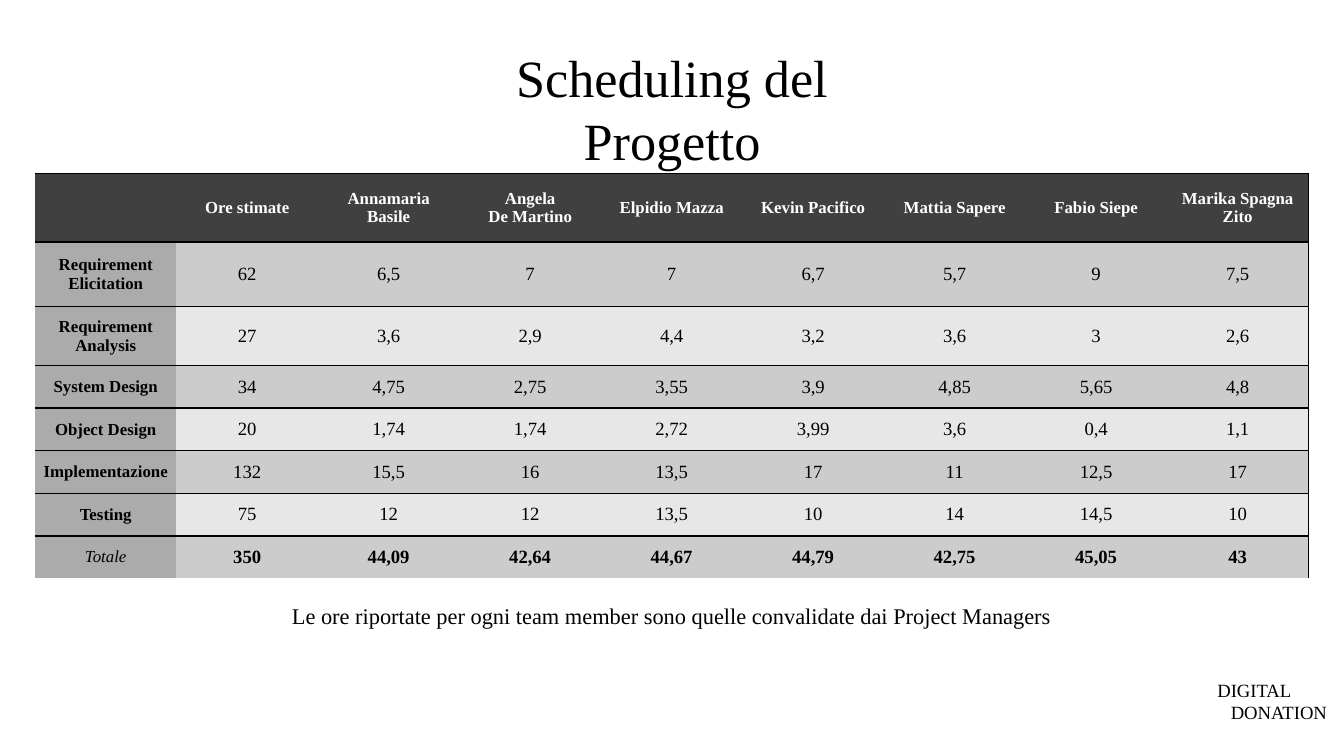
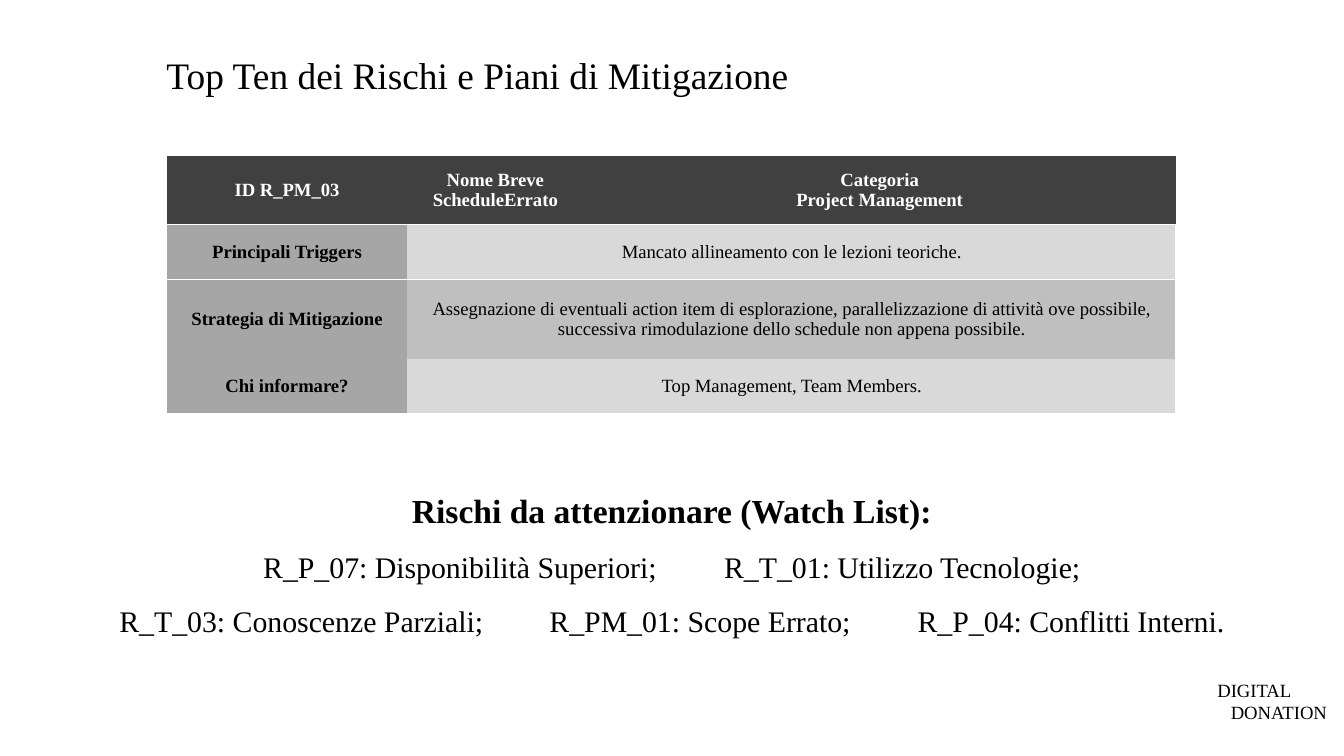
from dataclasses import dataclass

from lxml.etree import SubElement
from pptx import Presentation
from pptx.dml.color import RGBColor
from pptx.enum.text import MSO_ANCHOR, MSO_AUTO_SIZE, PP_ALIGN
from pptx.oxml.ns import qn
from pptx.util import Inches, Pt


@dataclass(frozen=True)
class Theme:
    font: str = "Times New Roman"
    black: str = "000000"
    white: str = "FFFFFF"
    header: str = "404040"
    schedule_label: str = "ABABAB"
    schedule_bands: tuple = ("CCCCCC", "E7E7E7")
    risk_label: str = "A6A6A6"
    risk_bands: tuple = ("D9D9D9", "BFBFBF")
    small: int = 9
    body: int = 10
    note: int = 12
    watch: int = 16
    watch_heading: int = 18


theme = Theme()
NO_STYLE = "{2D5ABB26-0587-4C30-8999-92F81FD0307C}"


def write(frame, text, size=theme.body, color=theme.black, bold=False,
          italic=False, align=PP_ALIGN.CENTER, spacing=None, tab_stops=()):
    """Append each line of text as a paragraph; tab stops are in grid tiles."""
    for line in text.split("\n"):
        first = frame.paragraphs[0]
        para = first if not first.runs else frame.add_paragraph()
        para.alignment = align
        if spacing:
            para.line_spacing = spacing
        if tab_stops:
            tab_list = SubElement(para._p.get_or_add_pPr(), qn("a:tabLst"))
            for stop in tab_stops:
                SubElement(tab_list, qn("a:tab"), pos=str(int(stop * tile)), algn="l")
        span = para.add_run()
        span.text = line
        span.font.name, span.font.size = theme.font, Pt(size)
        span.font.bold, span.font.italic = bold, italic
        span.font.color.rgb = RGBColor.from_string(color)


def dress(cell, fill, edges, edge_color):
    """Set a cell's insets, fill and 1 pt borders; edges is a subset of LRTB."""
    cell.vertical_anchor = MSO_ANCHOR.MIDDLE
    cell.margin_left = cell.margin_right = Inches(0.05)
    cell.margin_top = cell.margin_bottom = 0
    properties = cell._tc.get_or_add_tcPr()
    for edge in "LRTB":
        if edge in edges:
            line = SubElement(properties, qn(f"a:ln{edge}"), w=str(Pt(1)))
            solid = SubElement(line, qn("a:solidFill"))
            SubElement(solid, qn("a:srgbClr"), val=edge_color)
    cell.fill.solid()
    cell.fill.fore_color.rgb = RGBColor.from_string(fill)


deck = Presentation()
deck.slide_width, deck.slide_height = Inches(10), Inches(5.625)
tile = deck.slide_width // 100  # the slide is 100 tiles wide and 56.25 high

# Each page: title, title size, title box, table corner, column widths, row heights
page_plans = [
    ("Scheduling del Progetto", 28, (30.5, 2.9, 39, 5.7),
     (2.6, 12.9), [10.53] * 9, [5.1, 4.8, 4.4] + [3.17] * 5),
    ("Top Ten dei Rischi e Piani di Mitigazione", 20, (3.1, 3.4, 64.9, 4.4),
     (12.4, 11.6), [17.9, 13.1, 44.1], [5.1, 4.1, 5.9, 4.1]),
]
pages, tables = [], []
for title_text, title_size, title_box, corner, widths, heights in page_plans:
    page = deck.slides.add_slide(deck.slide_layouts[5])
    title = page.shapes.title
    title.left, title.top, title.width, title.height = [int(n * tile) for n in title_box]
    title.text_frame.word_wrap = True
    title.text_frame.auto_size = MSO_AUTO_SIZE.NONE
    title.text_frame.vertical_anchor = MSO_ANCHOR.TOP
    write(title.text_frame, title_text, size=title_size)

    footer = page.shapes.add_textbox(*[int(n * tile) for n in (89.6, 50, 12.7, 4.4)])
    footer.text_frame.word_wrap = True
    write(footer.text_frame, "DIGITAL\nDONATION", align=PP_ALIGN.LEFT)
    footer.text_frame.paragraphs[1]._p.get_or_add_pPr().set("marL", str(tile))

    table_box = [*corner, sum(widths), sum(heights)]
    table = page.shapes.add_table(len(heights), len(widths),
                                  *[int(n * tile) for n in table_box]).table
    table.first_row = table.horz_banding = False
    table._tbl.tblPr.find(qn("a:tableStyleId")).text = NO_STYLE
    for column, width in zip(table.columns, widths):
        column.width = int(width * tile)
    for row, height in zip(table.rows, heights):
        row.height = int(height * tile)
    pages.append(page)
    tables.append(table)

# Slide 1: hours by phase and team member
schedule_page, risk_page = pages
schedule, risks = tables
schedule_rows = [
    ["", "Ore stimate", "Annamaria\nBasile", "Angela\nDe Martino", "Elpidio Mazza",
     "Kevin Pacifico", "Mattia Sapere", "Fabio Siepe", "Marika Spagna\nZito"],
    ["Requirement\nElicitation", "62", "6,5", "7", "7", "6,7", "5,7", "9", "7,5"],
    ["Requirement\nAnalysis", "27", "3,6", "2,9", "4,4", "3,2", "3,6", "3", "2,6"],
    ["System Design", "34", "4,75", "2,75", "3,55", "3,9", "4,85", "5,65", "4,8"],
    ["Object Design", "20", "1,74", "1,74", "2,72", "3,99", "3,6", "0,4", "1,1"],
    ["Implementazione", "132", "15,5", "16", "13,5", "17", "11", "12,5", "17"],
    ["Testing", "75", "12", "12", "13,5", "10", "14", "14,5", "10"],
    ["Totale", "350", "44,09", "42,64", "44,67", "44,79", "42,75", "45,05", "43"],
]
last_row, last_column = len(schedule_rows) - 1, len(schedule_rows[0]) - 1
for r, values in enumerate(schedule_rows):
    for c, value in enumerate(values):
        is_header, is_label, is_total = r == 0, c == 0, r == last_row
        if is_header:
            fill = theme.header
        elif is_label:
            fill = theme.schedule_label
        else:
            fill = theme.schedule_bands[(r - 1) % 2]
        edges = "T" + ("" if is_total else "B") + ("R" if c == last_column else "")
        cell = schedule.cell(r, c)
        dress(cell, fill, edges, theme.black)
        if value:
            write(cell.text_frame, value,
                  size=theme.small if is_header or is_label else theme.body,
                  color=theme.white if is_header else theme.black,
                  bold=is_header or is_label != is_total,
                  italic=is_label and is_total)

note = schedule_page.shapes.add_textbox(*[int(n * tile) for n in (14.8, 44.2, 70.4, 3.1)])
note.text_frame.word_wrap = True
write(note.text_frame,
      "Le ore riportate per ogni team member sono quelle convalidate dai Project Managers",
      size=theme.note, spacing=1.07)

# Slide 2: risk card and watch list
risk_rows = [
    ["ID R_PM_03", "Nome Breve\nScheduleErrato", "Categoria\nProject Management"],
    ["Principali Triggers", "Mancato allineamento con le lezioni teoriche."],
    ["Strategia di Mitigazione",
     "Assegnazione di eventuali action item di esplorazione, parallelizzazione di attività "
     "ove possibile, successiva rimodulazione dello schedule non appena possibile."],
    ["Chi informare?", "Top Management, Team Members."],
]
for r, values in enumerate(risk_rows):
    if r > 0:
        risks.cell(r, 1).merge(risks.cell(r, 2))
    for c, value in enumerate(values):
        if r == 0:
            fill, edges = theme.header, "B"
        else:
            fill = theme.risk_label if c == 0 else theme.risk_bands[(r - 1) % 2]
            edges = ("L" if c == 0 else "R") + {1: "T", len(risk_rows) - 1: "B"}.get(r, "")
        cell = risks.cell(r, c)
        dress(cell, fill, edges, theme.white)
        write(cell.text_frame, value, bold=r == 0 or c == 0,
              color=theme.white if r == 0 else theme.black)

watch_list = risk_page.shapes.add_textbox(*[int(n * tile) for n in (-1.3, 34.5, 102.6, 13.3)])
watch_list.text_frame.word_wrap = True
write(watch_list.text_frame, "Rischi da attenzionare (Watch List):",
      size=theme.watch_heading, bold=True, spacing=1.5)
watch_lines = [
    (["R_P_07: Disponibilità Superiori;", "R_T_01: Utilizzo Tecnologie;"], (19.9, 54.2)),
    (["R_T_03: Conoscenze Parziali;", "R_PM_01: Scope Errato;",
      "R_P_04: Conflitti Interni."], (9.2, 41.2, 68.6)),
]
for entries, tab_stops in watch_lines:
    write(watch_list.text_frame, "".join(f"\t{entry}" for entry in entries),
          size=theme.watch, spacing=1.5, align=PP_ALIGN.LEFT, tab_stops=tab_stops)

deck.save("out.pptx")
